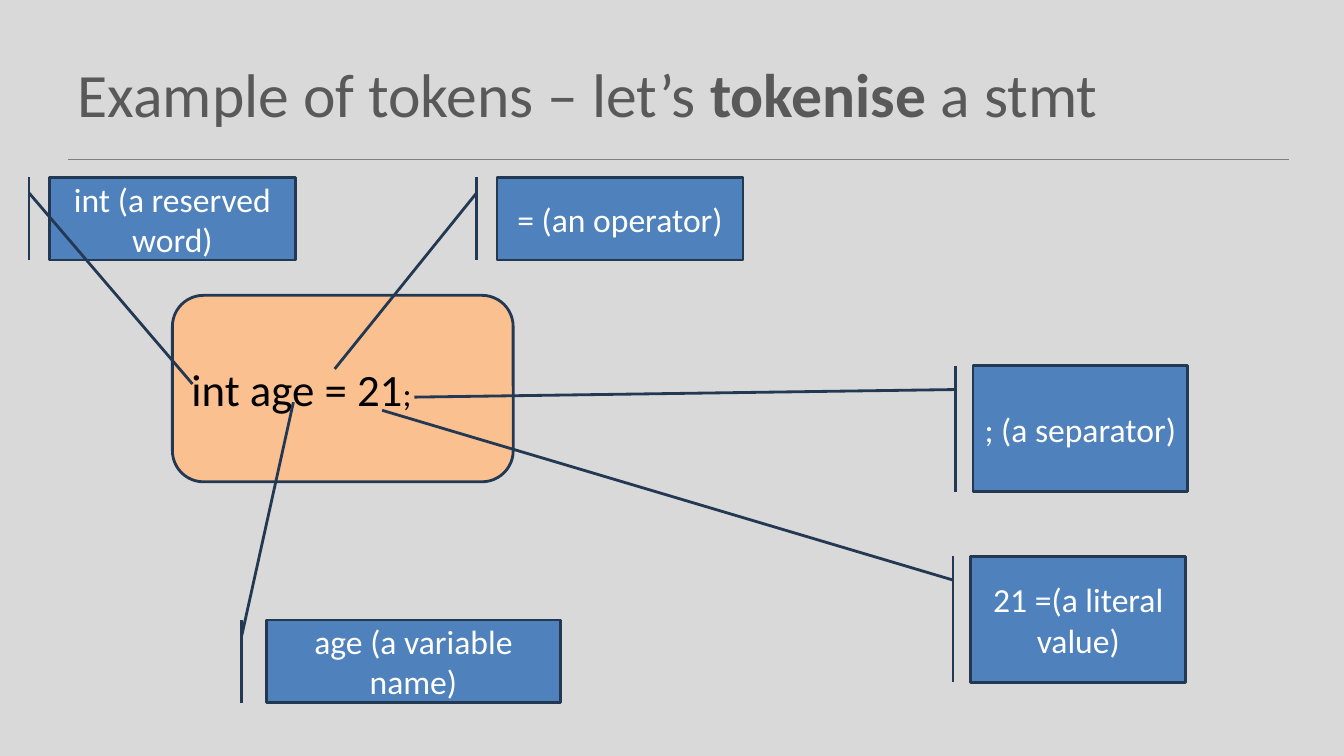
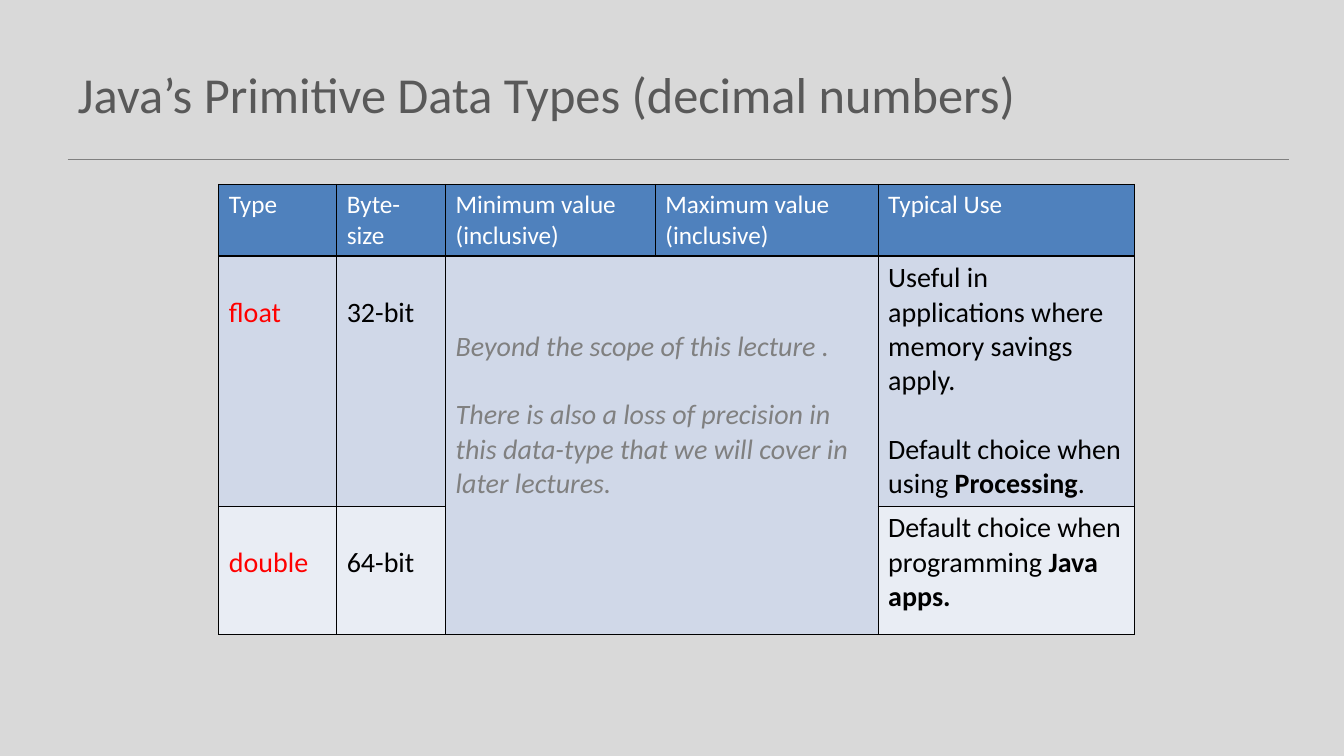
from lxml.etree import SubElement
from pptx import Presentation
from pptx.dml.color import RGBColor
from pptx.enum.shapes import MSO_CONNECTOR, MSO_SHAPE
from pptx.enum.text import MSO_ANCHOR, MSO_AUTO_SIZE, PP_ALIGN
from pptx.oxml.ns import qn
from pptx.util import Inches, Pt

COLORS = {
    "page": "D9D9D9", "rule": "808080", "title": "595959",
    "blue": "4F81BD", "navy": "233953", "orange": "FAC090",
    "band": "D0D8E8", "light_band": "E9EDF4",
    "black": "000000", "white": "FFFFFF", "red": "FF0000", "grey": "808080",
}
FONT = "Calibri"
BODY_SIZE = 20
LINE_HEIGHT = 0.34  # inches, one line of body text in the table
CELL_PAD = 0.05


def rgb(name):
    return RGBColor.from_string(COLORS[name])


def write_spans(para, spans, color, size, **formats):
    """Each span is a text, or a (text, formats) pair that overrides the defaults."""
    for item in spans:
        text, own = (item, {}) if isinstance(item, str) else item
        span = para.add_run()
        span.text = text
        values = {"name": FONT, "size": Pt(size), "bold": False, **formats, **own}
        for name, value in values.items():
            setattr(span.font, name, value)
        span.font.color.rgb = rgb(color)


def prepare_master(deck):
    fill = deck.slide_master.background.fill
    fill.solid()
    fill.fore_color.rgb = rgb("page")
    title = deck.slide_layouts.get_by_name("Title Only").placeholders[0]
    place = {"left": 0.67, "top": 0.3, "width": 12, "height": 1.25}
    for name, value in place.items():
        setattr(title, name, Inches(value))


def add_rule(page):
    """Draw the line under the title and hand it over to the page's layout."""
    left, right, top = Inches(0.67), Inches(12.78), Inches(1.58)
    rule = page.shapes.add_connector(MSO_CONNECTOR.STRAIGHT, left, top, right, top)
    rule.line.color.rgb = rgb("rule")
    rule.line.width = Pt(1)
    SubElement(rule.element.spPr, qn("a:effectLst"))
    page.slide_layout.element.cSld.spTree.append(rule.element)


def add_page(deck, title_spans, size):
    page = deck.slides.add_slide(deck.slide_layouts.get_by_name("Title Only"))
    frame = page.shapes.title.text_frame
    frame.auto_size = MSO_AUTO_SIZE.NONE
    frame.vertical_anchor = MSO_ANCHOR.MIDDLE
    frame.paragraphs[0].alignment = PP_ALIGN.LEFT
    write_spans(frame.paragraphs[0], title_spans, "title", size)
    return page


def add_panel(page, kind, box, fill, spans, color, size, align):
    panel = page.shapes.add_shape(kind, *map(Inches, box))
    panel.shadow.inherit = False
    panel.fill.solid()
    panel.fill.fore_color.rgb = rgb(fill)
    panel.line.color.rgb = rgb("navy")
    panel.line.width = Pt(2)
    frame = panel.text_frame
    frame.word_wrap = True
    frame.vertical_anchor = MSO_ANCHOR.MIDDLE
    frame.paragraphs[0].alignment = align
    write_spans(frame.paragraphs[0], spans, color, size)
    return panel


def add_callout(page, box, target, text):
    """Place a callout whose leader ends at target, a point on the page."""
    callout = add_panel(page, MSO_SHAPE.LINE_CALLOUT_1_BORDER_AND_ACCENT_BAR, box,
                        "blue", [text], "white", 24, PP_ALIGN.CENTER)
    left, top, width, height = box
    target_x, target_y = target
    leader = (0.188, -0.083, (target_y - top) / height, (target_x - left) / width)
    for index, value in enumerate(leader):
        callout.adjustments[index] = value


def draw_tokens(page):
    statement = ["int age = 21", (";", {"size": Pt(24)})]
    add_panel(page, MSO_SHAPE.ROUNDED_RECTANGLE, (1.71, 2.93, 3.38, 1.85),
              "orange", statement, "black", 32, PP_ALIGN.LEFT)
    callouts = [
        ((0.49, 1.76, 2.44, 0.82), (1.91, 3.81), "int (a reserved word)"),
        ((2.64, 6.15, 2.92, 0.82), (2.91, 3.99), "age (a variable name)"),
        ((4.93, 1.76, 2.44, 0.82), (3.32, 3.66), "= (an operator)"),
        ((9.63, 5.52, 2.13, 1.25), (3.79, 4.07), "21 =(a literal value)"),
        ((9.65, 3.63, 2.13, 1.25), (4.11, 3.94), "; (a separator)"),
    ]
    for box, target, text in callouts:
        add_callout(page, box, target, text)


def style_cell(cell, fill):
    props = cell._tc.get_or_add_tcPr()
    for side in ("lnL", "lnR", "lnT", "lnB"):
        border = SubElement(props, qn(f"a:{side}"), w=str(Pt(1)))
        solid = SubElement(border, qn("a:solidFill"))
        SubElement(solid, qn("a:srgbClr"), val=COLORS["black"])
    cell.fill.solid()
    cell.fill.fore_color.rgb = rgb(fill)


def fill_cell(cell, paragraphs, color, size=BODY_SIZE, lines_above=0, **formats):
    cell.margin_top = Inches(CELL_PAD + lines_above * LINE_HEIGHT)
    frame = cell.text_frame
    for index, spans in enumerate(paragraphs):
        para = frame.add_paragraph() if index else frame.paragraphs[0]
        if index:
            para.space_before = Inches(LINE_HEIGHT)
        write_spans(para, spans, color, size, **formats)


def draw_types_table(page, left, top):
    widths = (1.17, 1.08, 2.08, 2.21, 2.54)
    heights = (0.71, 2.48, 1.27)
    box = (left, top, sum(widths), sum(heights))
    table = page.shapes.add_table(len(heights), len(widths), *map(Inches, box)).table
    table.horz_banding = False
    for column, width in zip(table.columns, widths):
        column.width = Inches(width)
    for row, height, fill in zip(table.rows, heights, ("blue", "band", "light_band")):
        row.height = Inches(height)
        for cell in row.cells:
            style_cell(cell, fill)

    headings = ("Type", "Byte-size", "Minimum value (inclusive)",
                "Maximum value (inclusive)", "Typical Use")
    for column, heading in enumerate(headings):
        fill_cell(table.cell(0, column), [[heading]], "white", 18)

    bold = {"bold": True}
    types = [
        ("float", "32-bit", [
            ["Useful in applications where memory savings apply."],
            ["Default choice when using ", ("Processing", bold), "."],
        ]),
        ("double", "64-bit", [
            ["Default choice when programming ", ("Java apps.", bold)],
        ]),
    ]
    for row, (name, bits, usage) in enumerate(types, start=1):
        fill_cell(table.cell(row, 0), [[name]], "red", lines_above=1)
        fill_cell(table.cell(row, 1), [[bits]], "black", lines_above=1)
        fill_cell(table.cell(row, 4), usage, "black")

    scope = table.cell(1, 2)
    scope.merge(table.cell(2, 3))
    remarks = [
        ["Beyond the scope of this lecture ."],
        ["There is also a loss of precision in this data-type that we will "
         "cover in later lectures."],
    ]
    fill_cell(scope, remarks, "grey", lines_above=2, italic=True)


def main():
    deck = Presentation()
    deck.slide_width, deck.slide_height = Inches(13.33), Inches(7.5)
    prepare_master(deck)

    tokens_title = ["Example of tokens – let’s ", ("tokenise", {"bold": True}), " a stmt"]
    tokens = add_page(deck, tokens_title, 44)
    add_rule(tokens)
    draw_tokens(tokens)

    types = add_page(deck, ["Java’s Primitive Data Types (decimal numbers)"], 36)
    draw_types_table(types, 2.17, 1.83)
    deck.save("out.pptx")


if __name__ == "__main__":
    main()
